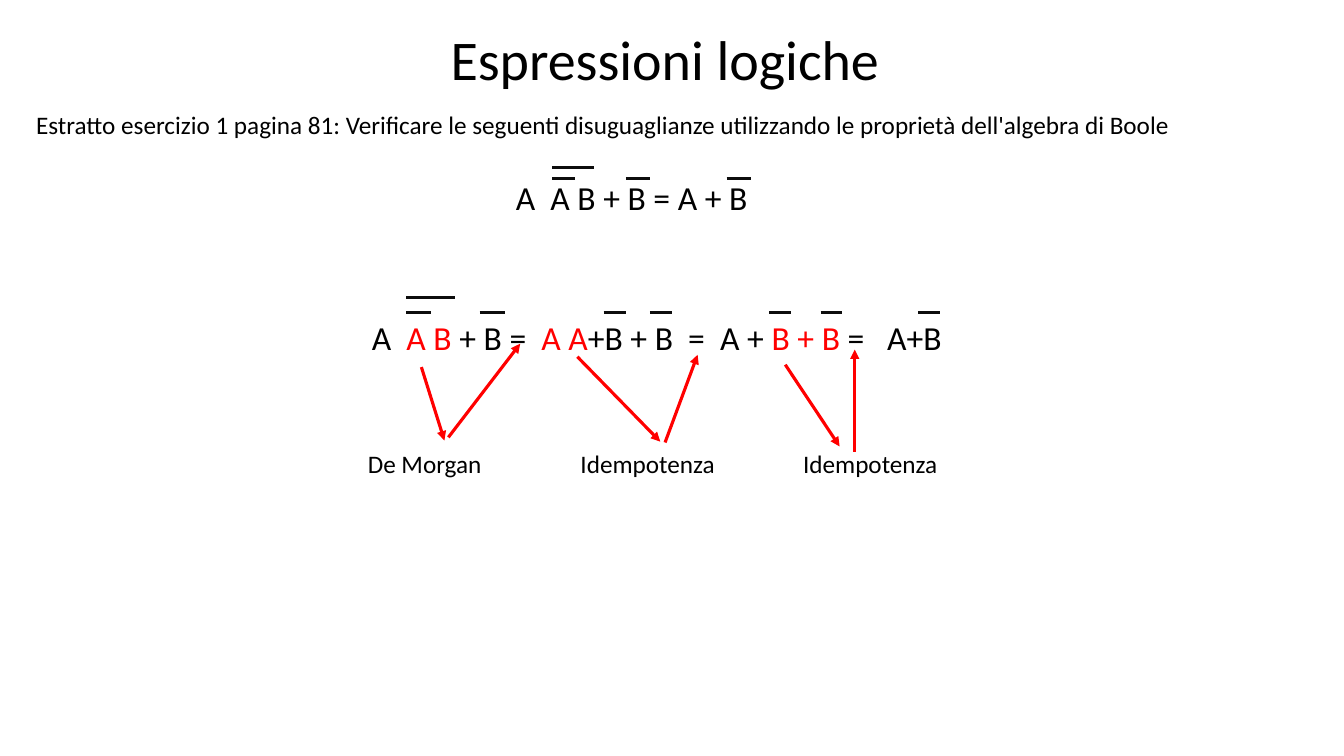
import lxml.etree
import pptx
import pptx.dml.color
import pptx.enum.shapes
import pptx.enum.text
import pptx.oxml.ns
import pptx.util

Cm = pptx.util.Cm
BLACK = pptx.dml.color.RGBColor(0x00, 0x00, 0x00)
BAR_BLACK = pptx.dml.color.RGBColor(0x0D, 0x0D, 0x0D)
RED = pptx.dml.color.RGBColor(0xFF, 0x00, 0x00)
FONT = "Calibri"


def format_font(font, size, color):
    font.name = FONT
    font.size = pptx.util.Pt(size)
    font.color.rgb = color


def add_text(slide, left, top, width, height, size, pieces):
    """Add one line of text made of (text, color) pieces."""
    box = slide.shapes.add_textbox(Cm(left), Cm(top), Cm(width), Cm(height))
    box.text_frame.word_wrap = True
    paragraph = box.text_frame.paragraphs[0]
    for text, color in pieces:
        run = paragraph.add_run()
        run.text = text
        format_font(run.font, size, color)


def add_line(slide, start_x, start_y, end_x, end_y, color, arrow=False):
    connector = slide.shapes.add_connector(
        pptx.enum.shapes.MSO_CONNECTOR.STRAIGHT,
        Cm(start_x), Cm(start_y), Cm(end_x), Cm(end_y))
    connector.line.color.rgb = color
    connector.line.width = pptx.util.Pt(2.25)
    properties = connector._element.find(pptx.oxml.ns.qn("p:spPr"))
    if arrow:
        line = properties.find(pptx.oxml.ns.qn("a:ln"))
        lxml.etree.SubElement(line, pptx.oxml.ns.qn("a:tailEnd"), type="triangle")
    lxml.etree.SubElement(properties, pptx.oxml.ns.qn("a:effectLst"))


def add_title(slide, left, top, width, height, text):
    title = slide.shapes.title
    title.left, title.top = Cm(left), Cm(top)
    title.width, title.height = Cm(width), Cm(height)
    frame = title.text_frame
    frame.text = text
    frame.auto_size = pptx.enum.text.MSO_AUTO_SIZE.NONE
    frame.vertical_anchor = pptx.enum.text.MSO_ANCHOR.MIDDLE
    paragraph = frame.paragraphs[0]
    paragraph.alignment = pptx.enum.text.PP_ALIGN.LEFT
    paragraph.line_spacing = 0.9
    format_font(paragraph.runs[0].font, 40, BLACK)


def add_expression(slide, left, top, width, pieces, bars):
    """Add a formula and its negation bars, given as (start, end, height) in its box."""
    add_text(slide, left, top, width, 1.27, 24, pieces)
    for start, end, height in bars:
        add_line(slide, left + start, top + height, left + end, top + height, BAR_BLACK)


def add_rule(slide, left, top, name, arrows):
    """Add the name of a law and the arrows that link it to the formula above."""
    add_text(slide, left, top, 3.96, 1.02, 18, [(name, BLACK)])
    for start_x, start_y, end_x, end_y in arrows:
        add_line(slide, left + start_x, top + start_y,
                 left + end_x, top + end_y, RED, arrow=True)


def add_exercise(slide):
    add_text(slide, 0.66, 2.62, 32.49, 1.02, 18, [
        ("Estratto esercizio 1 pagina 81: Verificare le seguenti disuguaglianze "
         "utilizzando le proprietà dell'algebra di Boole", BLACK)])
    add_expression(
        slide, 12.75, 4.34, 7.09, [("A  A B + B = A + B", BLACK)],
        [(3.02, 3.63, 0.16), (1.17, 1.75, 0.16), (5.56, 6.17, 0.16), (1.17, 2.21, -0.11)])


def add_solution(slide):
    pieces = [("A  ", BLACK), ("A B", RED), (" + B =  ", BLACK), ("A A", RED),
              ("+B + B  =  A + ", BLACK), ("B + B", RED), (" =   A+B", BLACK)]
    single_bars = [(1.12, 1.75), (2.97, 3.61), (6.09, 6.65), (7.26, 7.82),
                   (10.26, 10.82), (11.56, 12.11), (14.02, 14.58)]
    bars = [(start, end, 0) for start, end in single_bars] + [(1.12, 2.34, -0.38)]
    add_expression(slide, 9.12, 7.87, 15.32, pieces, bars)

    rules = [
        (9.02, "De Morgan", [(1.6, -1.93, 2.18, -0.08), (2.28, -0.16, 4.09, -2.52)]),
        (14.38, "Idempotenza", [(0.17, -2.19, 2.26, -0.05), (2.38, -0.03, 3.2, -2.24)]),
        (19.99, "Idempotenza", [(-0.2, -1.99, 1.17, 0.07), (1.55, 0.2, 1.55, -2.37)]),
    ]
    for left, name, arrows in rules:
        add_rule(slide, left, 11.18, name, arrows)


def main():
    presentation = pptx.Presentation()
    presentation.slide_width = Cm(33.87)
    presentation.slide_height = Cm(19.05)
    slide = presentation.slides.add_slide(presentation.slide_layouts[5])
    add_title(slide, 11.1, 0.69, 11.68, 1.75, "Espressioni logiche")
    add_exercise(slide)
    add_solution(slide)
    presentation.save("out.pptx")


if __name__ == "__main__":
    main()
